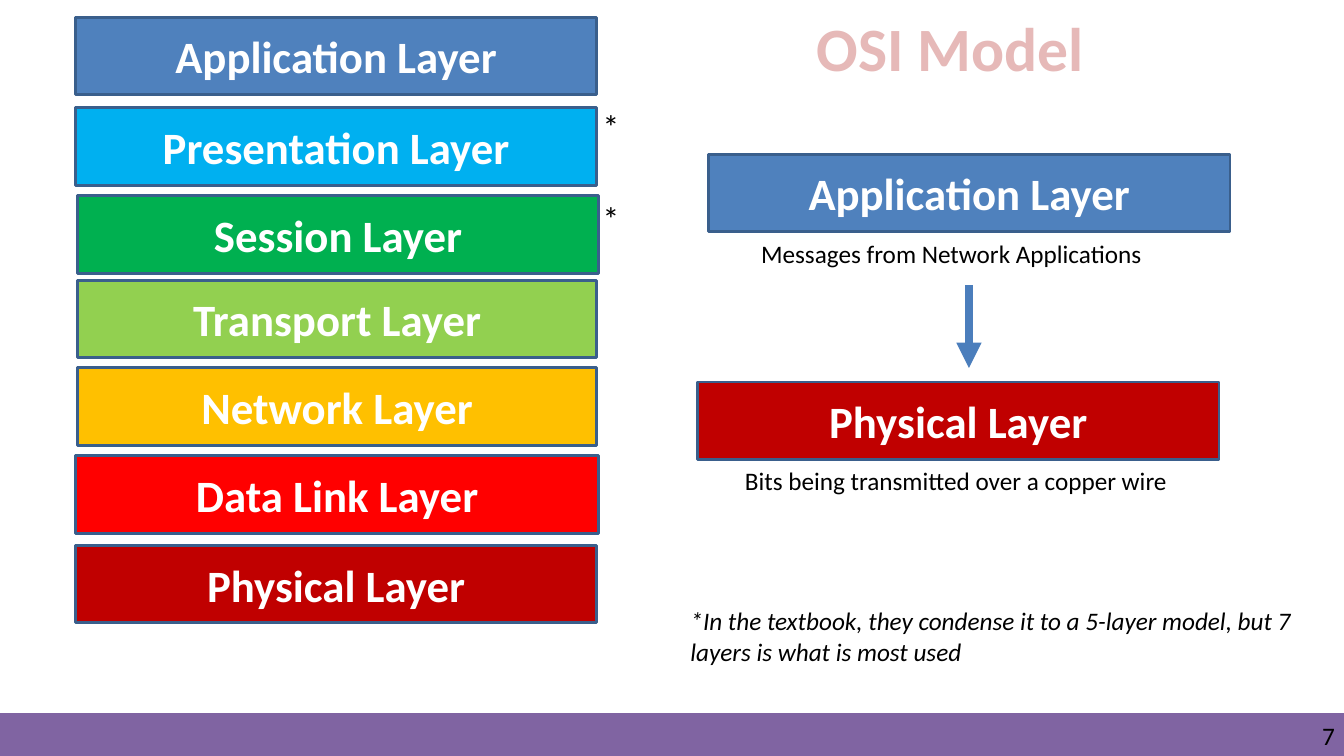
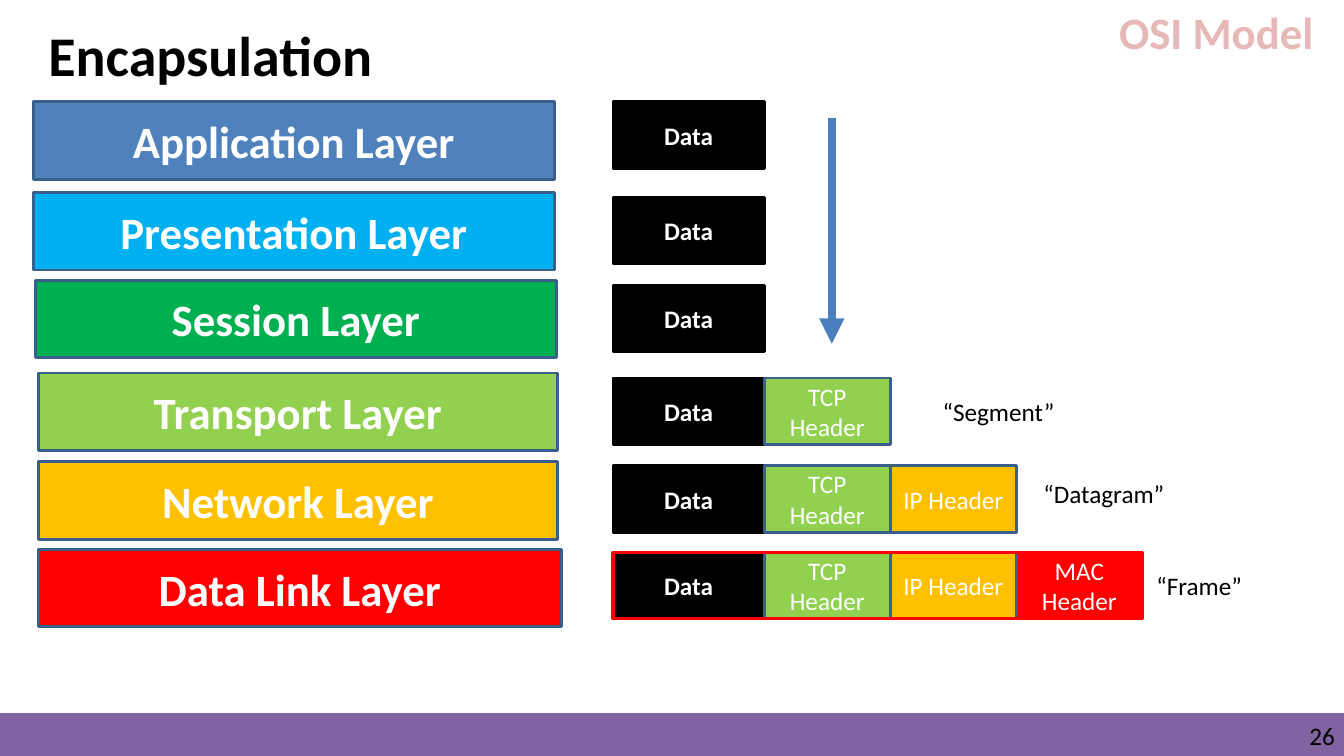
from dataclasses import dataclass

from lxml.etree import SubElement
from pptx import Presentation
from pptx.dml.color import RGBColor
from pptx.enum.shapes import MSO_CONNECTOR as CONN, MSO_SHAPE as SHAPE
from pptx.enum.text import MSO_ANCHOR as ANCHOR, MSO_AUTO_SIZE as AUTO, PP_ALIGN as ALIGN
from pptx.oxml.ns import qn
from pptx.util import Inches, Pt


@dataclass(frozen=True)
class Theme:
    font: str = "Calibri"
    # Colours
    black: str = "000000"
    white: str = "FFFFFF"
    band: str = "8064A2"
    heading: str = "E6B9B8"
    border: str = "3A5F8C"
    arrow: str = "4B7EBC"
    application: str = "4F81BD"
    presentation: str = "00B0F0"
    session: str = "00B050"
    transport: str = "92D050"
    network: str = "FFC000"
    data_link: str = "FF0000"
    physical: str = "C00000"
    # Type sizes
    big: int = 44
    title: int = 40
    layer: int = 32
    mark: int = 24
    body: int = 18


T = Theme()
LAYERS = {
    "Application": T.application,
    "Presentation": T.presentation,
    "Session": T.session,
    "Transport": T.transport,
    "Network": T.network,
    "Data Link": T.data_link,
    "Physical": T.physical,
}


def write(tf, text, size=T.body, color=T.black, bold=False, italic=False,
          align=ALIGN.LEFT, anchor=ANCHOR.TOP):
    """Put one formatted paragraph into a text frame."""
    tf.word_wrap, tf.auto_size, tf.vertical_anchor = True, AUTO.NONE, anchor
    p = tf.paragraphs[0]
    p.alignment = align
    r = p.add_run()
    r.text = text
    r.font.name, r.font.size = T.font, Pt(size)
    r.font.bold, r.font.italic = bold, italic
    r.font.color.rgb = RGBColor.from_string(color)


class Deck:
    """Holds the presentation and the slide being built."""

    def __init__(self):
        self.prs = Presentation()
        self.prs.slide_width, self.prs.slide_height = Inches(13.33), Inches(7.5)
        self.s = None

    def slide(self, number):
        """Start a slide with the footer band and its number."""
        self.s = self.prs.slides.add_slide(self.prs.slide_layouts[5])
        self.box(0, 7.08, 13.33, 0.42, T.band, line=T.band, weight=1)
        tf = self.text(number, 10.17, 7.15, 3.07, 0.3, align=ALIGN.RIGHT)
        tf.margin_left = tf.margin_top = tf.margin_right = tf.margin_bottom = 0

    def title(self, text, x, y, w, h, **fmt):
        sp = self.s.shapes.title
        sp.left, sp.top, sp.width, sp.height = map(Inches, (x, y, w, h))
        write(sp.text_frame, text, bold=True, **fmt)

    def text(self, text, x, y, w, h=0.4, **fmt):
        tf = self.s.shapes.add_textbox(*map(Inches, (x, y, w, h))).text_frame
        write(tf, text, **fmt)
        return tf

    def box(self, x, y, w, h, fill=None, text="", line=T.border, weight=2, **fmt):
        sp = self.s.shapes.add_shape(SHAPE.RECTANGLE, *map(Inches, (x, y, w, h)))
        sp.shadow.inherit = False
        if fill:
            sp.fill.solid()
            sp.fill.fore_color.rgb = RGBColor.from_string(fill)
        else:
            sp.fill.background()
        sp.line.color.rgb = RGBColor.from_string(line)
        sp.line.width = Pt(weight)
        if text:
            write(sp.text_frame, text, color=T.white, align=ALIGN.CENTER,
                  anchor=ANCHOR.MIDDLE, **fmt)

    def layer(self, name, x, y, w=5.17):
        self.box(x, y, w, 0.77, LAYERS[name], f"{name} Layer", size=T.layer, bold=True)

    def stack(self, places):
        """Draw the layers from the top down, one per (x, y, w)."""
        for name, place in zip(LAYERS, places):
            self.layer(name, *place)

    def arrow(self, x, top, bottom):
        c = self.s.shapes.add_connector(CONN.STRAIGHT, *map(Inches, (x, top, x, bottom)))
        c.line.color.rgb = RGBColor.from_string(T.arrow)
        c.line.width = Pt(6)
        SubElement(c.line._get_or_add_ln(), qn("a:tailEnd"), type="triangle")
        SubElement(c._element.spPr, qn("a:effectLst"))


def osi_model(d):
    d.slide("7")
    d.title("OSI Model", 8, 0.05, 3.22, 0.84, size=T.big, color=T.heading)

    # Seven layers, with the two optional ones starred
    d.stack([(0.75, 0.17, 5.17), (0.75, 1.07, 5.17), (0.77, 1.94, 5.17),
             (0.77, 2.78, 5.15), (0.77, 3.65, 5.15), (0.75, 4.52, 5.19),
             (0.75, 5.41, 5.17)])
    for y in (1, 1.91):
        d.text("*", 5.88, y, 0.4, 0.5, size=T.mark)

    # From messages to bits
    d.layer("Application", 7.03, 1.53)
    d.text("Messages from Network Applications", 7.45, 2.32, 4.35)
    d.arrow(9.61, 2.83, 3.65)
    d.layer("Physical", 6.92, 3.79)
    d.text("Bits being transmitted over a copper wire", 7.29, 4.57, 4.77)
    d.text("*In the textbook, they condense it to a 5-layer model, "
           "but 7 layers is what is most used", 6.75, 5.96, 6.34, 0.71, italic=True)


def encapsulation(d):
    d.slide("26")
    d.title("Encapsulation", 0.38, 0.15, 4.03, 0.77, size=T.title)
    d.text("OSI Model", 11, 0, 2.39, 0.64, size=T.layer, color=T.heading, bold=True)

    # Layers
    d.stack([(0.33, 1.01, 5.17), (0.33, 1.91, 5.17), (0.35, 2.78, 5.17),
             (0.38, 3.7, 5.15), (0.38, 4.58, 5.15), (0.38, 5.45, 5.19)])

    # Data units: each lower layer adds one header
    left, data_w, header_w, unit_h = 6.08, 1.5, 1.25, 0.66
    headers = [("TCP Header", T.transport), ("IP Header", T.network),
               ("MAC Header", T.data_link)]
    for y, count in zip((1.01, 1.96, 2.83, 3.75, 4.62, 5.48), (0, 0, 0, 1, 2, 3)):
        d.box(left, y, data_w, unit_h, T.black, "Data", line=T.black, bold=True)
        for i, (name, fill) in enumerate(headers[:count]):
            d.box(left + data_w + i * header_w, y, header_w, unit_h, fill, name)
    d.box(left, 5.48, data_w + 3 * header_w, unit_h, line=T.data_link, weight=2.25)
    d.arrow(8.25, 1.17, 3.41)

    # Names of the data units
    for name, x, y in (("“Segment”", 9.25, 3.88), ("“Datagram”", 10.25, 4.7),
                       ("“Frame”", 11.37, 5.61)):
        d.text(name, x, y, 1.5)


def main():
    d = Deck()
    osi_model(d)
    encapsulation(d)
    d.prs.save("out.pptx")


if __name__ == "__main__":
    main()
